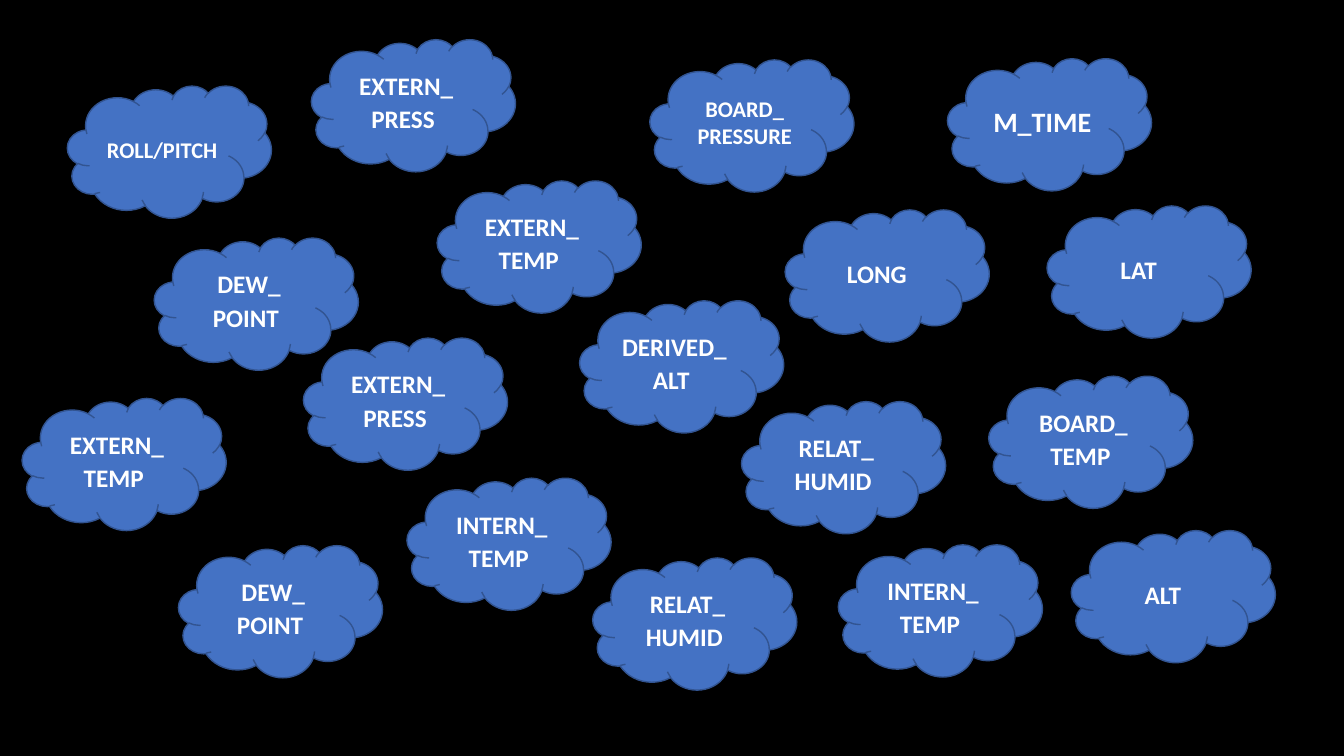
from dataclasses import dataclass

from lxml.etree import SubElement
from pptx import Presentation
from pptx.dml.color import RGBColor
from pptx.enum.shapes import MSO_SHAPE
from pptx.enum.text import MSO_ANCHOR, PP_ALIGN
from pptx.oxml.ns import qn
from pptx.util import Cm, Pt


@dataclass(frozen=True)
class Theme:
    background: RGBColor = RGBColor.from_string("000000")
    cloud: RGBColor = RGBColor.from_string("4472C4")
    outline: RGBColor = RGBColor.from_string("325491")
    text: RGBColor = RGBColor.from_string("FFFFFF")
    font: str = "Calibri"
    small: int = 16
    normal: int = 18
    large: int = 20


theme = Theme()
CLOUD_WIDTH, CLOUD_HEIGHT = Cm(5.14), Cm(3.33)

# left and top in cm, label, label size, size of the closing space (None: no space)
NORMAL = (theme.normal, theme.large)
CLOUDS = [
    (1.7, 2.16, "ROLL/PITCH", theme.small, theme.normal),
    (3.89, 5.99, "DEW_\nPOINT", *NORMAL),
    (7.65, 8.51, "EXTERN_\nPRESS", *NORMAL),
    (18.69, 10.11, "RELAT_\nHUMID", *NORMAL),
    (0.56, 10.03, "EXTERN_\nTEMP", *NORMAL),
    (10.26, 12.04, "INTERN_\nTEMP", *NORMAL),
    (4.5, 13.74, "DEW_\nPOINT", *NORMAL),
    (14.61, 7.57, "DERIVED_ALT", *NORMAL),
    (14.94, 14.05, "RELAT_\nHUMID", *NORMAL),
    (7.85, 0.99, "EXTERN_\nPRESS", *NORMAL),
    (11.02, 4.55, "EXTERN_\nTEMP", *NORMAL),
    (21.13, 13.72, "INTERN_\nTEMP", *NORMAL),
    (27, 13.36, "ALT", *NORMAL),
    (19.79, 5.28, "LONG", *NORMAL),
    (26.39, 5.18, "LAT", *NORMAL),
    (24.92, 9.47, "BOARD_\nTEMP", *NORMAL),
    (16.38, 1.5, "BOARD_\nPRESSURE", theme.small, None),
    (23.88, 1.47, "M_TIME", theme.large, None),
]


def add_run(p, text, size):
    r = p.add_run()
    r.text = text
    r.font.name = theme.font
    r.font.size = Pt(size)
    r.font.bold = True
    r.font.color.rgb = theme.text


prs = Presentation()
prs.slide_width, prs.slide_height = Cm(33.87), Cm(19.05)
s = prs.slides.add_slide(prs.slide_layouts[6])
s.background.fill.solid()
s.background.fill.fore_color.rgb = theme.background

for left, top, label, size, space_size in CLOUDS:
    sp = s.shapes.add_shape(
        MSO_SHAPE.CLOUD, Cm(left), Cm(top), CLOUD_WIDTH, CLOUD_HEIGHT
    )
    sp.shadow.inherit = False
    sp.fill.solid()
    sp.fill.fore_color.rgb = theme.cloud
    sp.line.color.rgb = theme.outline
    sp.line.width = Pt(1)

    tf = sp.text_frame
    tf.word_wrap = True
    tf.vertical_anchor = MSO_ANCHOR.MIDDLE
    p = tf.paragraphs[0]
    p.alignment = PP_ALIGN.CENTER
    for i, line in enumerate(label.split("\n")):
        if i:
            p.add_line_break()
            # The break takes the label size, so that it does not stretch the line
            SubElement(p._p[-1], qn("a:rPr"), sz=str(size * 100))
        add_run(p, line, size)
    if space_size:
        add_run(p, " ", space_size)

prs.save("out.pptx")
